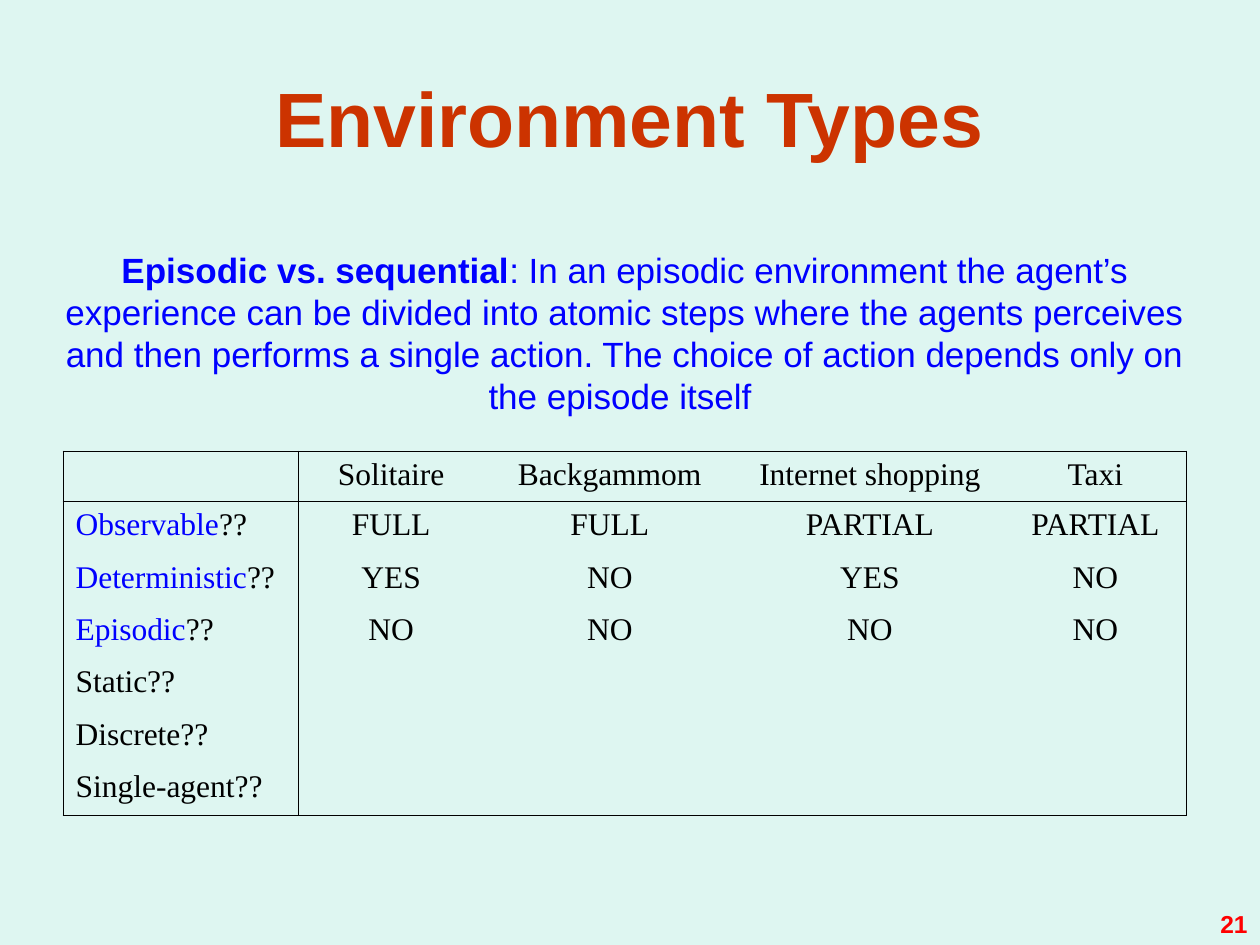
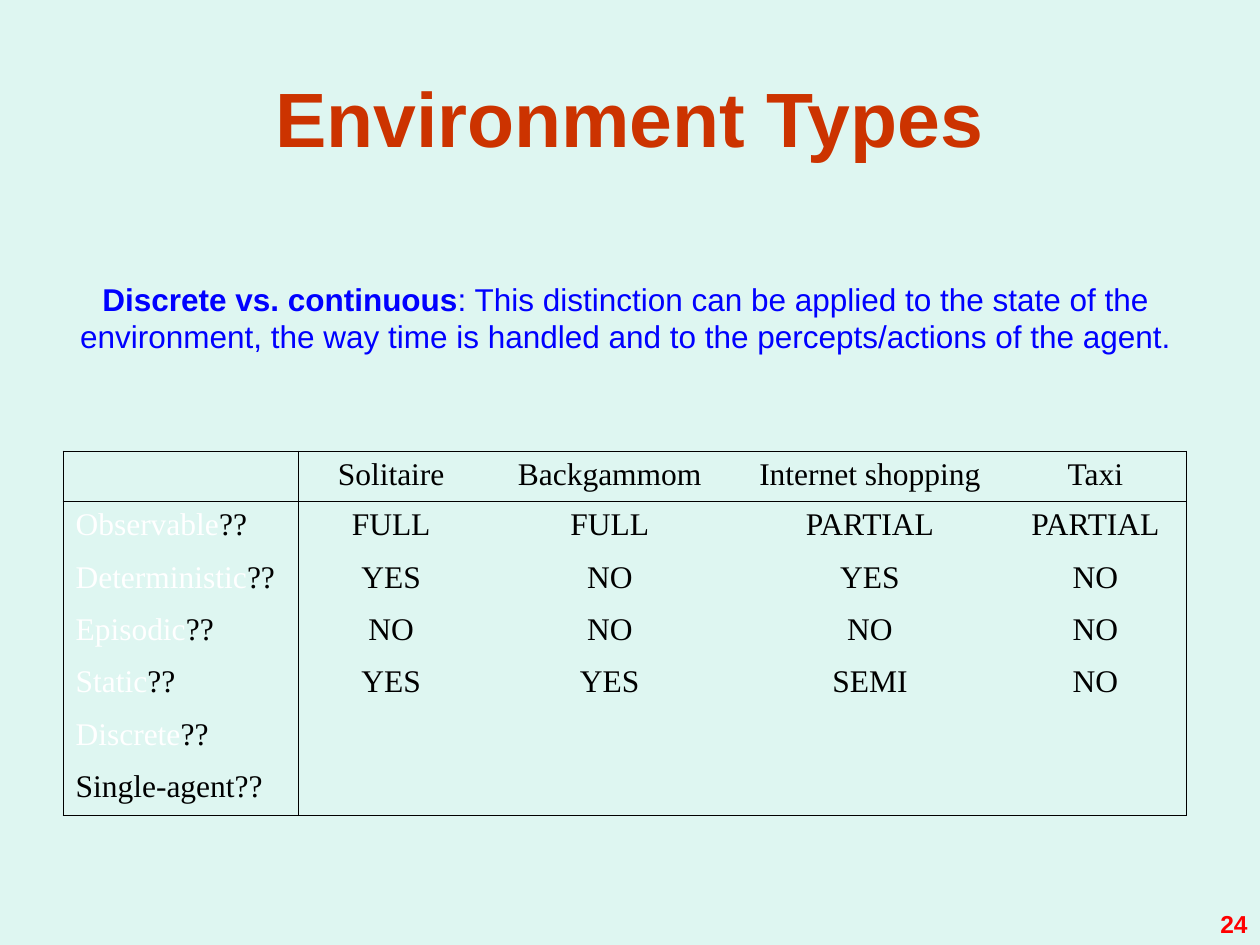
"""Builds two slides on environment types, each with a definition and an answer table."""
from dataclasses import dataclass

from lxml import etree
from pptx import Presentation
from pptx import util as u
from pptx.dml.color import RGBColor
from pptx.enum import text
from pptx.oxml import ns


@dataclass(frozen=True)
class Theme:
    background: str = "DEF6F1"
    title: str = "CC3300"
    accent: str = "0000FF"
    faded: str = "FFFFFF"
    ink: str = "000000"
    number: str = "FF0000"
    sans: str = "Arial"
    serif: str = "Times New Roman"
    title_size: int = 44
    table_size: int = 18
    number_size: int = 14
    border: float = 0.45


theme = Theme()
COLUMNS, ROWS = 100, 75
UNIT = u.Inches(10) // COLUMNS

deck = Presentation()
deck.slide_width, deck.slide_height = COLUMNS * UNIT, ROWS * UNIT


def add_span(para, words, font, size, color, bold=False):
    span = para.add_run()
    span.text = words
    span.font.name, span.font.size, span.font.bold = font, u.Pt(size), bold
    span.font.color.rgb = RGBColor.from_string(color)


def add_frame(page, area, anchor, side_margin=1):
    box = page.shapes.add_textbox(*(u.Emu(int(n * UNIT)) for n in area))
    frame = box.text_frame
    frame.word_wrap = True
    frame.vertical_anchor = anchor
    frame.margin_left = frame.margin_right = side_margin * UNIT
    return frame


headings = ["Solitaire", "Backgammom", "Internet shopping", "Taxi"]
properties = ["Observable", "Deterministic", "Episodic", "Static", "Discrete", "Single-agent"]
answers = [
    ["FULL", "FULL", "PARTIAL", "PARTIAL"],
    ["YES", "NO", "YES", "NO"],
    ["NO", "NO", "NO", "NO"],
    ["YES", "YES", "SEMI", "NO"],
]
column_widths = [18.7, 14.7, 20, 21.3, 14.5]
table_height, header_height = 28.9, 4
body_height = (table_height - header_height) / len(properties)
last_row, last_column = len(properties), len(headings)

topics = [
    dict(number="21", area=(5, 19.2, 89.2, 14.4), size=20, term="Episodic vs. sequential",
         lines=[": In an episodic environment the agent’s experience can be divided into atomic "
                "steps where the agents perceives and then performs a single action. The choice "
                "of action depends only on the episode itself "],
         answered=3, marked=3, mark=theme.accent),
    dict(number="24", area=(5, 21.7, 90, 7), size=18, term="Discrete vs. continuous",
         lines=[": This distinction can be applied to the state of the ",
                "environment, the way time is handled and to the percepts/actions of the agent. "],
         answered=4, marked=5, mark=theme.faded),
]

for topic in topics:
    page = deck.slides.add_slide(deck.slide_layouts[6])
    page.background.fill.solid()
    page.background.fill.fore_color.rgb = RGBColor.from_string(theme.background)

    para = add_frame(page, (5, 3, 90, 12.5), text.MSO_ANCHOR.MIDDLE).paragraphs[0]
    para.alignment = text.PP_ALIGN.CENTER
    add_span(para, "Environment Types", theme.sans, theme.title_size, theme.title, True)

    table = page.shapes.add_table(
        last_row + 1, last_column + 1, 5 * UNIT, u.Emu(int(35.8 * UNIT)),
        u.Emu(int(sum(column_widths) * UNIT)), u.Emu(int(table_height * UNIT))).table
    table.first_row = table.horz_banding = False
    for column, width in zip(table.columns, column_widths):
        column.width = u.Emu(int(width * UNIT))
    for r, row in enumerate(table.rows):
        row.height = u.Emu(int((body_height if r else header_height) * UNIT))
        for c, cell in enumerate(row.cells):
            edges = {"L": c in (0, 1), "R": c in (0, last_column),
                     "T": r in (0, 1), "B": r in (0, last_row)}
            for side, drawn in edges.items():
                line = etree.SubElement(cell._tc.get_or_add_tcPr(), ns.qn(f"a:ln{side}"))
                line.set("w", str(u.Pt(theme.border)))
                fill = etree.SubElement(line, ns.qn("a:solidFill" if drawn else "a:noFill"))
                if drawn:
                    etree.SubElement(fill, ns.qn("a:srgbClr")).set("val", theme.ink)
            cell.fill.background()

            para = cell.text_frame.paragraphs[0]
            para.alignment = text.PP_ALIGN.CENTER if c else text.PP_ALIGN.LEFT
            if c == 0 and r > 0:
                color = topic["mark"] if r <= topic["marked"] else theme.ink
                spans = [(properties[r - 1], color), ("??", theme.ink)]
            elif c > 0 and r <= topic["answered"]:
                words = answers[r - 1][c - 1] if r else headings[c - 1]
                spans = [(words, theme.ink)]
            else:
                spans = []
            for words, color in spans:
                add_span(para, words, theme.serif, theme.table_size, color)

    frame = add_frame(page, topic["area"], text.MSO_ANCHOR.TOP, side_margin=0)
    frame.auto_size = text.MSO_AUTO_SIZE.SHAPE_TO_FIT_TEXT
    for i, words in enumerate(topic["lines"]):
        para = frame.add_paragraph() if i else frame.paragraphs[0]
        para.alignment = text.PP_ALIGN.CENTER
        if i == 0:
            add_span(para, topic["term"], theme.sans, topic["size"], theme.accent, True)
        add_span(para, words, theme.sans, topic["size"], theme.accent)

    para = add_frame(page, (76.7, 69.8, 23.3, 5.2), text.MSO_ANCHOR.BOTTOM).paragraphs[0]
    para.alignment = text.PP_ALIGN.RIGHT
    add_span(para, topic["number"], theme.sans, theme.number_size, theme.number, True)

deck.save("out.pptx")
